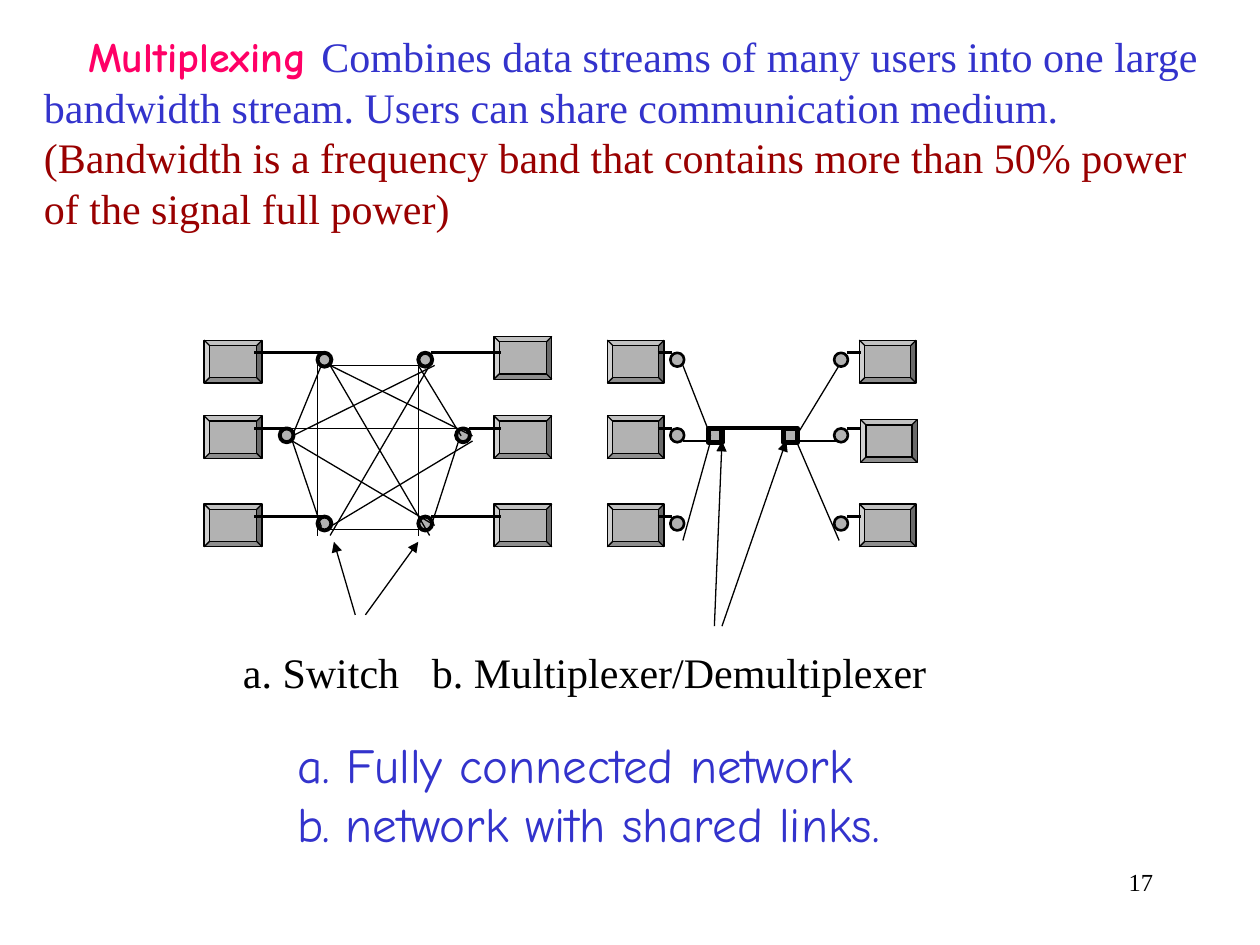
from pptx import Presentation
from pptx.util import Inches, Pt
from pptx.dml.color import RGBColor as Rgb
from pptx.enum.shapes import MSO_SHAPE as Kind, MSO_CONNECTOR as Conn
from pptx.enum.text import MSO_ANCHOR as Anchor, PP_ALIGN as Align
from pptx.oxml.ns import qn
from lxml.etree import SubElement as Sub

HUES = {"ink": "000000", "grey": "B2B2B2", "blue": "3333CC", "pink": "FF0066", "red": "990000"}
ROMAN, COMIC = "Times New Roman", "Comic Neue"

deck = Presentation()
deck.slide_width, deck.slide_height = Inches(10), Inches(7.5)
slide = deck.slides.add_slide(deck.slide_layouts[6])


def node(kind, x, y, w, h, line):
    shape = slide.shapes.add_shape(kind, Inches(x), Inches(y), Inches(w), Inches(h))
    shape.shadow.inherit = False
    shape.fill.solid()
    shape.fill.fore_color.rgb = Rgb.from_string(HUES["grey"])
    shape.line.color.rgb = Rgb.from_string(HUES["ink"])
    shape.line.width = Pt(line)


def wire(x1, y1, x2, y2, line=0.75, arrow=False):
    link = slide.shapes.add_connector(
        Conn.STRAIGHT, Inches(x1), Inches(y1), Inches(x2), Inches(y2))
    link.line.color.rgb = Rgb.from_string(HUES["ink"])
    link.line.width = Pt(line)
    if arrow:
        Sub(link.line._get_or_add_ln(), qn("a:tailEnd"), type="triangle")
    Sub(link._element.spPr, qn("a:effectLst"))


rows = [2.8, 3.4, 4.1]

for x, tops in [(1.62, (2.7, 3.3, 4)), (3.92, (2.67, 3.3, 4))]:
    for y in tops:
        node(Kind.BEVEL, x, y, 0.46, 0.34, 0.75)

for y, left, right in zip(rows, (2.52, 2.22, 2.52), (3.32, 3.62, 3.32)):
    wire(2.02, y, left + 0.07, y, 1.5)
    wire(right + 0.1, y, 3.98, y, 1.5)
    for x in (left, right):
        node(Kind.OVAL, x, y, 0.11, 0.11, 2.25)

mesh = [
    (2.62, 4.2, 3.41, 4.2), (2.62, 2.9, 3.41, 2.9), (3.32, 2.9, 3.66, 3.46),
    (3.64, 3.5, 3.42, 4.18), (2.55, 2.9, 2.32, 3.46), (2.32, 3.5, 2.55, 4.18),
    (3.32, 2.9, 3.32, 4.25), (2.52, 2.9, 2.52, 4.25), (2.62, 2.9, 3.75, 3.46),
    (2.62, 2.9, 3.41, 4.25), (3.45, 2.9, 2.32, 3.46), (3.41, 2.9, 2.62, 4.25),
    (3.79, 3.4, 2.32, 3.4), (3.75, 3.5, 2.62, 4.18), (3.45, 4.17, 2.32, 3.5),
]
for ends in mesh:
    wire(*ends)

for x, y in [(4.82, 2.7), (4.82, 3.3), (4.82, 4), (6.82, 2.7), (6.83, 3.33), (6.82, 4)]:
    node(Kind.BEVEL, x, y, 0.45, 0.34, 0.75)

for x in (5.62, 6.22):
    node(Kind.RECTANGLE, x, 3.4, 0.11, 0.11, 3)

for start, dot in [(5.22, 5.32), (6.72, 6.62)]:
    for y in rows:
        wire(start, y, start + 0.11, y, 1.5)
        node(Kind.OVAL, dot, y, 0.11, 0.11, 1.5)

for x, hub in [(5.42, 5.64), (6.66, 6.32)]:
    for y, end in [(2.9, 3.46), (3.5, 3.5), (4.29, 3.5)]:
        wire(x, y, hub, end)
wire(6.28, 3.4, 5.72, 3.4, 2.25)

for ends in [(5.73, 4.97, 6.24, 3.5), (5.67, 4.97, 5.73, 3.5),
             (2.9, 4.88, 3.32, 4.3), (2.82, 4.88, 2.65, 4.3)]:
    wire(*ends, arrow=True)

texts = [
    ((0.25, 0.17, 9.58, 1.75), Anchor.MIDDLE, Align.LEFT, 24, (0, 0.35, 0), [[
        ("Multiplexing ", COMIC, "pink", True),
        ("Combines data streams of many users into one large bandwidth stream. "
         "Users can share communication medium. ", ROMAN, "blue", False),
        ("(Bandwidth is a frequency band that contains more than 50% power "
         "of the signal full power)", ROMAN, "red", False)]]),
    ((1.83, 5.08, 6.67, 0.5), Anchor.TOP, Align.LEFT, 24, (0, 0, 2.08), [[
        ("a. Switch\tb. Multiplexer/Demultiplexer", ROMAN, "ink", False)]]),
    ((0.42, 5.67, 7.5, 1.25), Anchor.MIDDLE, Align.LEFT, 28, (1.84, 0, 0), [
        [("a. Fully connected network", COMIC, "blue", False)],
        [("b. network with shared links.", COMIC, "blue", False)]]),
    ((7.17, 6.83, 2.08, 0.5), Anchor.TOP, Align.RIGHT, 14, (0, 0, 0), [[
        ("17", ROMAN, "ink", False)]]),
]
for area, anchor, align, size, (left, first, tab), paras in texts:
    frame = slide.shapes.add_textbox(*map(Inches, area)).text_frame
    frame.word_wrap = True
    frame.vertical_anchor = anchor
    for n, runs in enumerate(paras):
        para = frame.add_paragraph() if n else frame.paragraphs[0]
        para.alignment = align
        props = para._p.get_or_add_pPr()
        props.set("marL", str(Inches(left)))
        props.set("indent", str(Inches(first)))
        if tab:
            Sub(Sub(props, qn("a:tabLst")), qn("a:tab"), pos=str(Inches(tab)), algn="l")
        for words, face, hue, bold in runs:
            run = para.add_run()
            run.text = words
            run.font.name = face
            run.font.size = Pt(size)
            run.font.bold = bold
            run.font.color.rgb = Rgb.from_string(HUES[hue])

deck.save("out.pptx")
